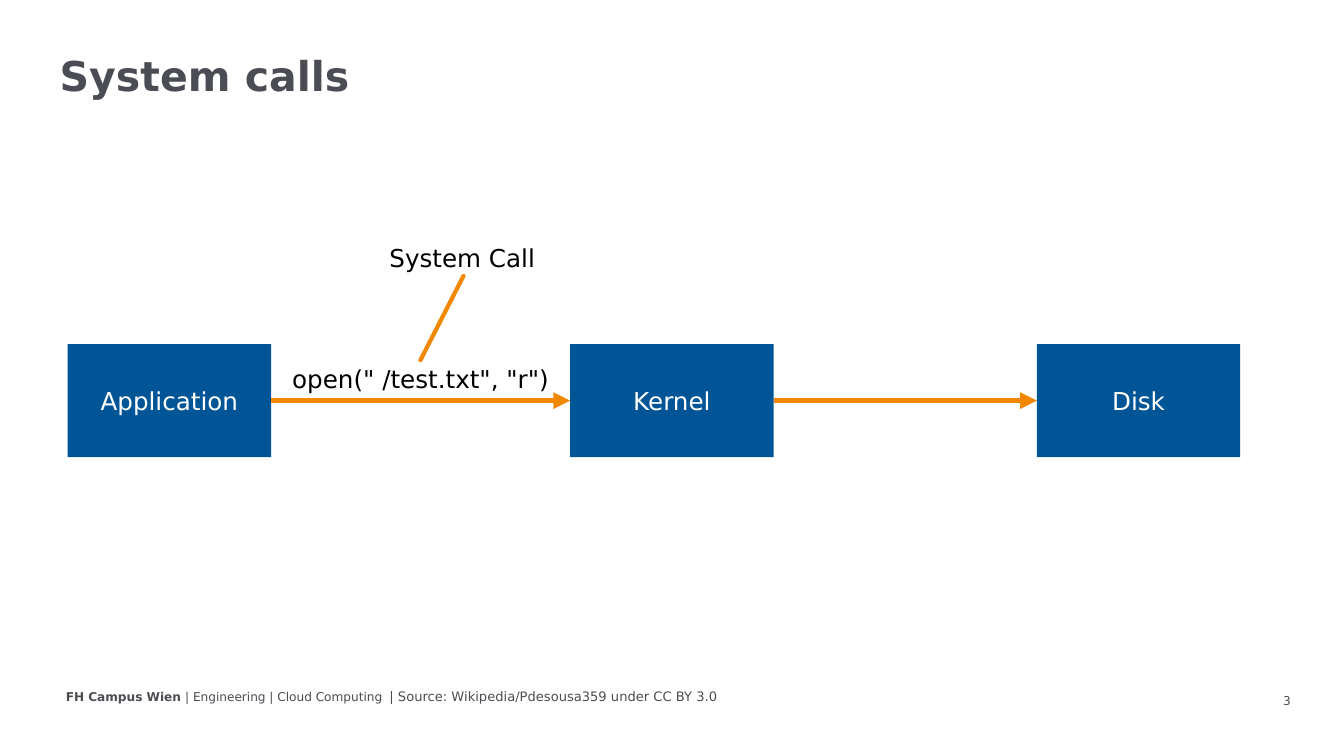
"""Build the slide on system calls between application, kernel and disk."""
from lxml.etree import SubElement
from pptx import Presentation
from pptx.dml.color import RGBColor
from pptx.enum.shapes import MSO_CONNECTOR as CONN, MSO_SHAPE as SHAPE
from pptx.enum.text import MSO_ANCHOR as ANCHOR, PP_ALIGN as ALIGN
from pptx.oxml.ns import qn
from pptx.util import Pt

FONT = "DejaVu Sans"
COLORS = {"box": "005596", "line": "F18800", "gray": "4A4D53",
          "white": "FFFFFF", "black": "000000"}
BOX_TOP, BOX_W, BOX_H = 368.7, 218, 121
BODY_SIZE = 26.4


def rgb(name):
    return RGBColor.from_string(COLORS[name])


def style_run(r, size, color, bold=False):
    r.font.name = FONT
    r.font.size = Pt(size)
    r.font.bold = bold
    r.font.color.rgb = rgb(color)


def add_text(s, box, text, size, color="gray", bold=False, align=ALIGN.LEFT, wrap=True):
    sp = s.shapes.add_textbox(*map(Pt, box))
    tf = sp.text_frame
    tf.word_wrap = wrap
    tf.text = text
    p = tf.paragraphs[0]
    p.alignment = align
    style_run(p.runs[0], size, color, bold)
    return tf


def add_box(s, left, label):
    sp = s.shapes.add_shape(SHAPE.RECTANGLE, Pt(left), Pt(BOX_TOP), Pt(BOX_W), Pt(BOX_H))
    sp.shadow.inherit = False
    sp.fill.solid()
    sp.fill.fore_color.rgb = rgb("box")
    sp.line.fill.background()
    tf = sp.text_frame
    tf.text = label
    tf.vertical_anchor = ANCHOR.MIDDLE
    p = tf.paragraphs[0]
    p.alignment = ALIGN.CENTER
    style_run(p.runs[0], BODY_SIZE, "white")
    return sp


def add_line(s, start, end, width):
    cxn = s.shapes.add_connector(CONN.STRAIGHT, *map(Pt, start + end))
    cxn.line.color.rgb = rgb("line")
    cxn.line.width = Pt(width)
    SubElement(cxn._element.spPr, qn("a:effectLst"))
    return cxn


def add_arrow(s, source, target):
    cxn = add_line(s, (0, 0), (0, 0), 6)
    cxn.begin_connect(source, 3)
    cxn.end_connect(target, 1)
    SubElement(cxn.line._get_or_add_ln(), qn("a:tailEnd"), type="triangle")


def add_footer(s):
    tf = add_text(s, (63.4, 735.1, 488.2, 23), "FH Campus Wien ", 13, bold=True)
    r = tf.paragraphs[0].add_run()
    r.text = "| Engineering | Cloud Computing"
    style_run(r, 13, "gray")
    add_text(s, (410.4, 734.4, 377.3, 24.5),
             "| Source: Wikipedia/Pdesousa359 under CC BY 3.0", 14, wrap=False)
    tf = add_text(s, (1074.2, 735.1, 324, 30.2), "3", 13, align=ALIGN.RIGHT)
    tf.vertical_anchor = ANCHOR.MIDDLE
    tf.margin_left = tf.margin_right = Pt(14.4)
    tf.margin_top = tf.margin_bottom = Pt(7.2)


def main():
    prs = Presentation()
    prs.slide_width, prs.slide_height = Pt(1440.72), Pt(810)
    s = prs.slides.add_slide(prs.slide_layouts[6])

    title = add_text(s, (56.9, 56.2, 1341.4, 55.4), "System calls", 44, bold=True)
    title.paragraphs[0].line_spacing = 0.9
    add_footer(s)

    app, kernel, disk = [add_box(s, left, label) for left, label in
                         ((72.6, "Application"), (611.2, "Kernel"), (1111.5, "Disk"))]
    add_arrow(s, app, kernel)
    add_arrow(s, kernel, disk)

    add_text(s, (290.4, 385.9, 320.9, 38.9), 'open(" /test.txt", "r")',
             BODY_SIZE, "black", align=ALIGN.CENTER)
    add_text(s, (410.4, 256.5, 172.8, 38.9), "System Call", BODY_SIZE, "black", wrap=False)
    pointer = add_line(s, (496.8, 295.7), (450.7, 385.9), 4.5)
    pointer.line._get_or_add_ln().set("cap", "rnd")

    prs.save("out.pptx")


if __name__ == "__main__":
    main()
